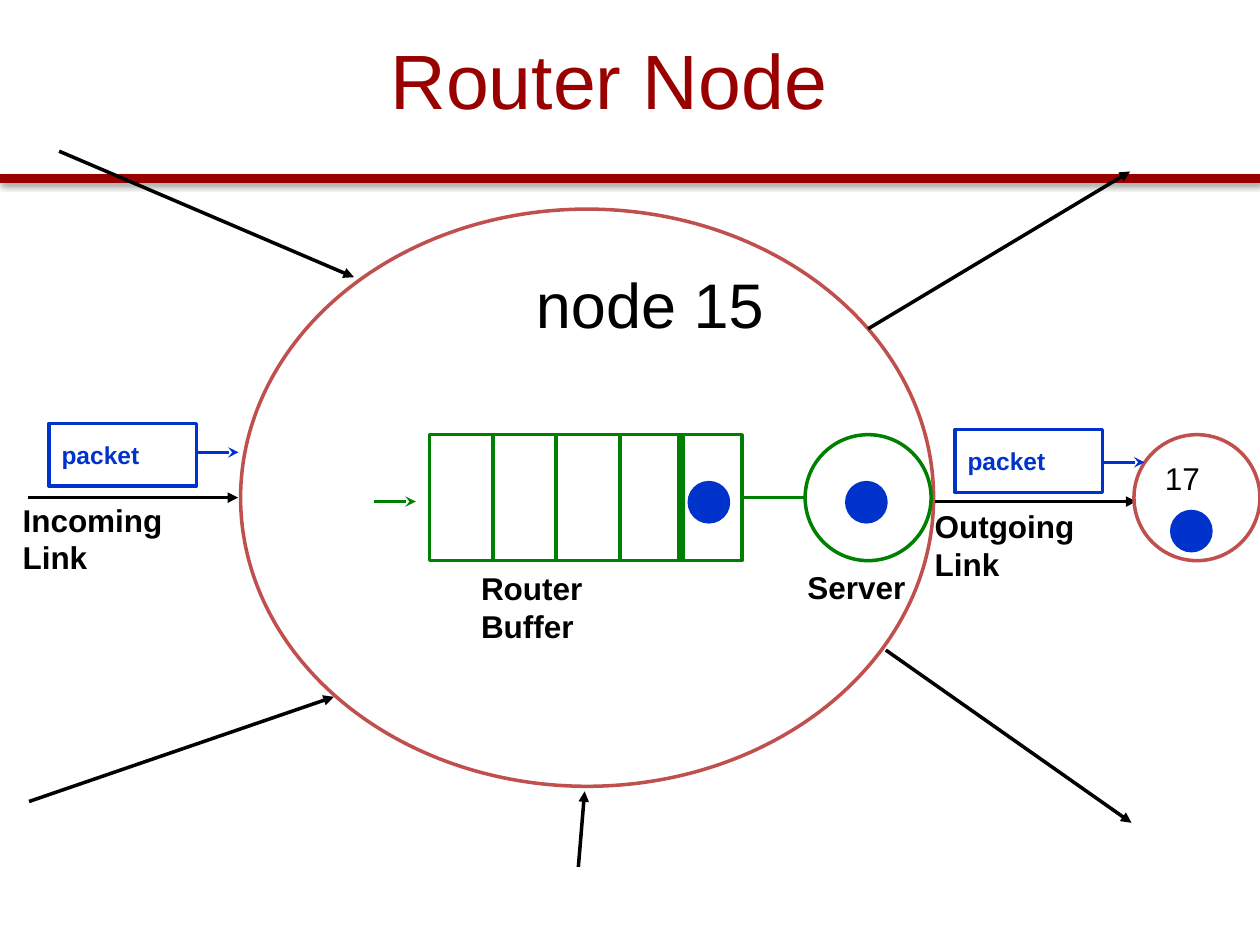
from lxml import etree
from pptx import Presentation
from pptx.dml.color import RGBColor
from pptx.enum.shapes import MSO_CONNECTOR, MSO_SHAPE
from pptx.enum.text import MSO_ANCHOR, PP_ALIGN
from pptx.oxml.ns import qn
from pptx.util import Pt

OVAL, RECT = MSO_SHAPE.OVAL, MSO_SHAPE.RECTANGLE
STRAIGHT = MSO_CONNECTOR.STRAIGHT
TOP, MIDDLE = MSO_ANCHOR.TOP, MSO_ANCHOR.MIDDLE
LEFT, CENTER = PP_ALIGN.LEFT, PP_ALIGN.CENTER

CRIMSON, RED, GREEN, BLUE, BLACK = "990000", "C0504D", "008000", "0033CC", "000000"
STROKE = 2
DOT = 22.4


def rgb(hex_color):
    return RGBColor.from_string(hex_color)


def write(frame, text, size, color, bold=False, align=LEFT, anchor=MIDDLE, wrap=True):
    for name, value in {"word_wrap": wrap, "vertical_anchor": anchor, "text": text}.items():
        setattr(frame, name, value)
    paragraph = frame.paragraphs[0]
    paragraph.alignment = align
    font = paragraph.runs[0].font
    for name, value in {"name": "Arial", "size": Pt(size), "bold": bold}.items():
        setattr(font, name, value)
    font.color.rgb = rgb(color)


def add_outline(slide, kind, box, color, filled=False):
    outline = slide.shapes.add_shape(kind, *map(Pt, box))
    outline.shadow.inherit = False
    if filled:
        outline.fill.solid()
        outline.fill.fore_color.rgb = rgb(color)
    else:
        outline.fill.background()
    outline.line.color.rgb = rgb(color)
    outline.line.width = Pt(STROKE)
    return outline


def add_line(slide, start, end, color, head=None, width=STROKE):
    """Draw a line and return its empty effect list."""
    line = slide.shapes.add_connector(STRAIGHT, *map(Pt, (*start, *end)))
    line.line.color.rgb = rgb(color)
    line.line.width = Pt(width)
    if head:
        etree.SubElement(line.line._get_or_add_ln(), qn("a:tailEnd"), type=head)
    return etree.SubElement(line._element.spPr, qn("a:effectLst"))


def add_label(slide, box, text, size=18, bold=True):
    label = slide.shapes.add_textbox(*map(Pt, box))
    write(label.text_frame, text, size, BLACK, bold, wrap=False)


def add_dot(slide, left, top):
    add_outline(slide, OVAL, (left, top, DOT, DOT), BLUE, filled=True)


def add_header(slide, box, rule_y):
    # Rule with a soft shadow below it
    effects = add_line(slide, (0, rule_y), (720, rule_y), CRIMSON, width=5)
    shadow = etree.SubElement(effects, qn("a:outerShdw"), blurRad=str(Pt(3.1)),
                              dist=str(Pt(1.6)), dir="5400000", rotWithShape="0")
    shade = etree.SubElement(shadow, qn("a:srgbClr"), val=BLACK)
    etree.SubElement(shade, qn("a:alpha"), val="38000")
    # Title
    title = slide.shapes.title
    for name, value in zip(("left", "top", "width", "height"), box):
        setattr(title, name, Pt(value))
    write(title.text_frame, "Router Node ", 44, CRIMSON, align=CENTER)


def add_packet(slide, box, arrow_y):
    left, top, width, height = box
    packet = add_outline(slide, RECT, box, BLUE)
    write(packet.text_frame, "packet", 14, BLUE, bold=True)
    right = left + width
    add_line(slide, (right, arrow_y), (right + 24, arrow_y), BLUE, "stealth")


def add_buffer(slide, box):
    left, top, width, height = box
    slot, step = 36, 36.25
    # Last slot overlaps its neighbour slightly
    last = left + width - slot
    add_outline(slide, RECT, (last, top, slot, height), GREEN)
    for i in range(4):
        add_outline(slide, RECT, (left + i * step, top, slot, height), GREEN)
    add_dot(slide, last + 5.8, top + 27.4)
    # Arrow into the buffer
    add_line(slide, (left - 31.7, 286.6), (left - 7.9, 286.6), GREEN, "stealth")
    add_label(slide, (left + 22.3, 331.9, 126, 30), "Router Buffer")


def add_server(slide, box):
    left, top, width, height = box
    add_outline(slide, OVAL, box, GREEN)
    add_line(slide, (left - 36, top + height / 2), (left, top + height / 2), GREEN)
    add_dot(slide, left + 23.8, top + 27.4)
    add_label(slide, (left - 5.8, 320.4, 78, 30), "Server")


def add_next_node(slide, box):
    left, top, width, height = box
    node = add_outline(slide, OVAL, box, RED)
    write(node.text_frame, "17", 18, BLACK, anchor=TOP)
    add_dot(slide, left + 21.6, top + 43.9)


def add_links(slide):
    links = [
        # Outgoing
        ((534.2, 286.6), (649.4, 286.6)),
        ((496.1, 187.9), (645.8, 98)),
        ((506.2, 371.5), (646.6, 470.2)),
        # Incoming
        ((15.8, 284.4), (136.1, 284.4)),
        ((33.8, 86.4), (202.3, 158.4)),
        ((16.6, 458), (190.8, 398.2)),
        ((330.5, 495.4), (334.1, 452.2)),
    ]
    for start, end in links:
        add_line(slide, start, end, BLACK, "triangle")
    add_label(slide, (5.8, 292.7, 126, 30), "Incoming Link")
    add_label(slide, (527, 296.3, 126, 30), "Outgoing Link")


def main():
    deck = Presentation()
    deck.slide_width, deck.slide_height = Pt(720), Pt(540)
    slide = deck.slides.add_slide(deck.slide_layouts[5])

    add_header(slide, (48.2, 5.8, 612, 77.8), 102.2)
    # Router node
    add_outline(slide, OVAL, (137.5, 119.5, 396, 329.8), RED)
    add_label(slide, (299.2, 148.2, 144.4, 50), "node 15", 36, bold=False)
    add_links(slide)
    add_buffer(slide, (245.5, 248.4, 178.6, 72))
    add_server(slide, (460.1, 248.4, 72, 72))
    # Neighbours and packets
    add_next_node(slide, (648, 248.4, 72, 72))
    add_packet(slide, (28.1, 241.9, 84.2, 36), 258.5)
    add_packet(slide, (545.8, 245.5, 84.2, 36), 264.2)
    deck.save("out.pptx")


if __name__ == "__main__":
    main()
